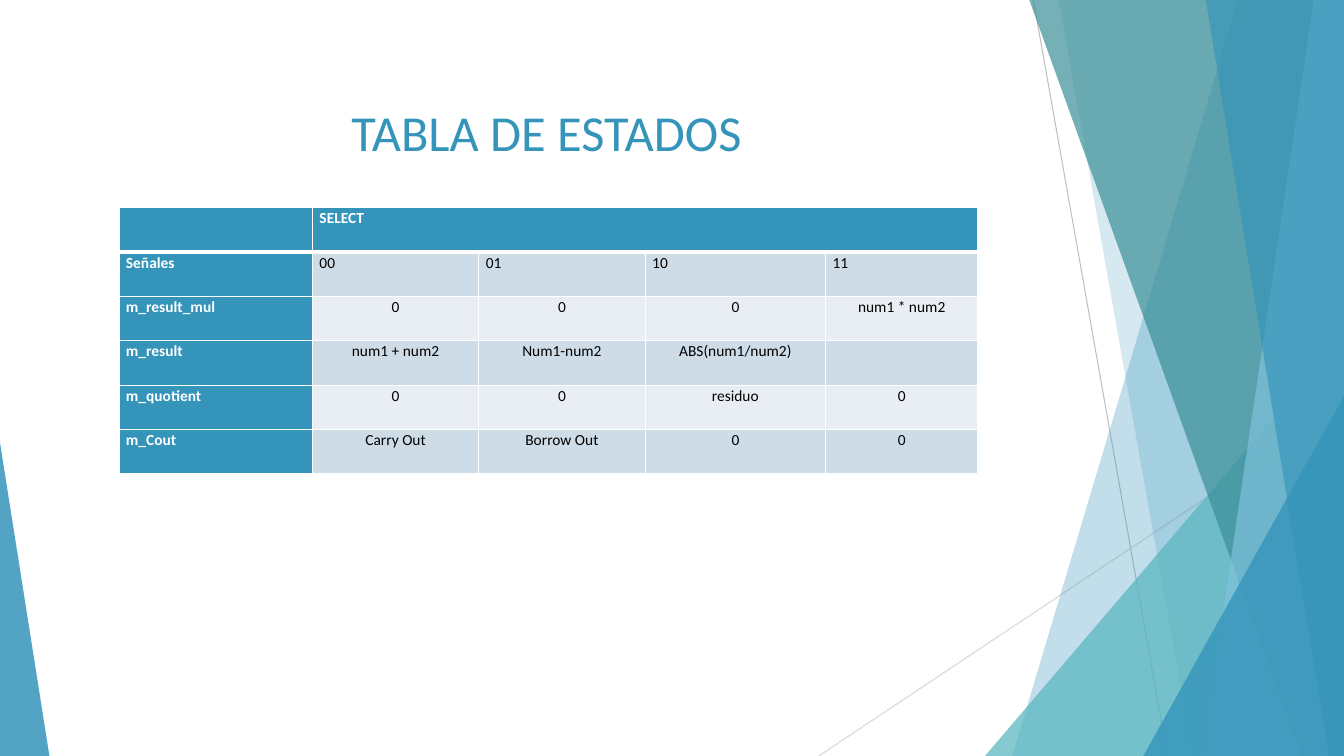
from dataclasses import dataclass
from lxml import etree
from pptx import Presentation
from pptx import util as u
from pptx.dml.color import RGBColor
from pptx.enum import shapes, text
from pptx.oxml import ns


@dataclass(frozen=True)
class Theme:
    font: str = "Calibri"
    title_size: int = 36
    cell_size: int = 11
    blue: str = "3494BA"
    turquoise: str = "58B6C0"
    teal: str = "3A8F98"
    sky: str = "7FC1DB"
    band_dark: str = "CEDCE7"
    band_light: str = "E8EEF3"
    white: str = "FFFFFF"
    black: str = "000000"
    grey: str = "BFBFBF"
    light_grey: str = "D9D9D9"


theme = Theme()
presentation = Presentation()
presentation.slide_width = u.Inches(13.33)
presentation.slide_height = u.Inches(7.5)
slide = presentation.slides.add_slide(presentation.slide_layouts[5])


def place(x, y):
    return round(presentation.slide_width * x / 100), round(presentation.slide_height * y / 100)


def add_run(paragraph, words, size, color, bold=False):
    run = paragraph.add_run()
    run.text = words
    run.font.name = theme.font
    run.font.size = u.Pt(size)
    run.font.bold = bold
    run.font.color.rgb = RGBColor.from_string(color)


rays = [
    ((76.89, 0), (86.87, 100), theme.grey),
    ((100, 53.73), (60.92, 100), theme.light_grey),
]
for start, end, color in rays:
    ray = slide.shapes.add_connector(shapes.MSO_CONNECTOR.STRAIGHT, *place(*start), *place(*end))
    ray.line.color.rgb = RGBColor.from_string(color)
    ray.line.width = u.Pt(0.75)
    etree.SubElement(ray._element.spPr, ns.qn("a:effectLst"))

panels = [
    ("band", (92.12, 75.32), theme.blue, 30),
    ("band", (78.77, 88.75), theme.blue, 20),
    ("triangle", (73.29, 44.4, 26.71, 1), theme.turquoise, 72),
    ("band", (76.59, 96.85), theme.teal, 70),
    ("band", (97.75, 89.42), theme.sky, 70),
    ("band", (89.72, 98.87), theme.blue, 65),
    ("triangle", (85.07, 52.4, 14.93, 1), theme.blue, 80),
    ("triangle", (0, 58.53, 3.68, 0), theme.blue, 85),
]
for kind, geometry, color, opacity in panels:
    if kind == "band":
        top_x, bottom_x = geometry
        outline = slide.shapes.build_freeform(*place(top_x, 0))
        outline.add_line_segments([place(100, 0), place(100, 100), place(bottom_x, 100)], close=True)
        panel = outline.convert_to_shape()
    else:
        left, top, width, apex = geometry
        panel = slide.shapes.add_shape(
            shapes.MSO_SHAPE.ISOSCELES_TRIANGLE, *place(left, top), *place(width, 100 - top))
        panel.adjustments[0] = apex
    panel.shadow.inherit = False
    panel.line.fill.background()
    panel.fill.solid()
    panel.fill.fore_color.rgb = RGBColor.from_string(color)
    tint = panel._element.spPr.find(".//" + ns.qn("a:srgbClr"))
    etree.SubElement(tint, ns.qn("a:alpha"), val=str(opacity * 1000))

title = slide.shapes.title
title.left, title.top = place(5.4, 12.67)
title.width, title.height = place(70.52, 19.2)
title.text_frame.vertical_anchor = text.MSO_ANCHOR.TOP
title_paragraph = title.text_frame.paragraphs[0]
title_paragraph.alignment = text.PP_ALIGN.CENTER
add_run(title_paragraph, "TABLA DE ESTADOS", theme.title_size, theme.blue)

states = [
    ["", "SELECT", "", "", ""],
    ["Señales", "00", "01", "10", "11"],
    ["m_result_mul", "0", "0", "0", "num1 * num2"],
    ["m_result", "num1 + num2", "Num1-num2", "ABS(num1/num2)", ""],
    ["m_quotient", "0", "0", "residuo", "0"],
    ["m_Cout", "Carry Out", "Borrow Out", "0", "0"],
]
column_shares = [14.4, 12.38, 12.38, 13.43, 11.33]
row_share = 5.87
frame = slide.shapes.add_table(
    len(states), len(column_shares), *place(8.85, 27.47),
    *place(sum(column_shares), row_share * len(states)))
table = frame.table
for column, share in zip(table.columns, column_shares):
    column.width = place(share, 0)[0]
for row in table.rows:
    row.height = place(0, row_share)[1]

for row_index, row_words in enumerate(states):
    for column_index, words in enumerate(row_words):
        cell = table.cell(row_index, column_index)
        heading = row_index == 0 or column_index == 0
        band = theme.band_dark if row_index % 2 else theme.band_light
        cell.margin_left = cell.margin_right = u.Inches(0.07)
        cell.margin_top = cell.margin_bottom = 0
        for side in "LRTB":
            thick = (row_index, side) in [(0, "B"), (1, "T")]
            border = etree.SubElement(
                cell._tc.get_or_add_tcPr(), ns.qn("a:ln" + side), w=str(u.Pt(3 if thick else 1)))
            border_fill = etree.SubElement(border, ns.qn("a:solidFill"))
            etree.SubElement(border_fill, ns.qn("a:srgbClr"), val=theme.white)
        cell.fill.solid()
        cell.fill.fore_color.rgb = RGBColor.from_string(theme.blue if heading else band)
        paragraph = cell.text_frame.paragraphs[0]
        paragraph.line_spacing = 1.07
        if row_index > 1 and column_index > 0:
            paragraph.alignment = text.PP_ALIGN.CENTER
        if words:
            add_run(paragraph, words, theme.cell_size, theme.white if heading else theme.black, heading)
table.cell(0, 1).merge(table.cell(0, len(column_shares) - 1))

presentation.save("out.pptx")
